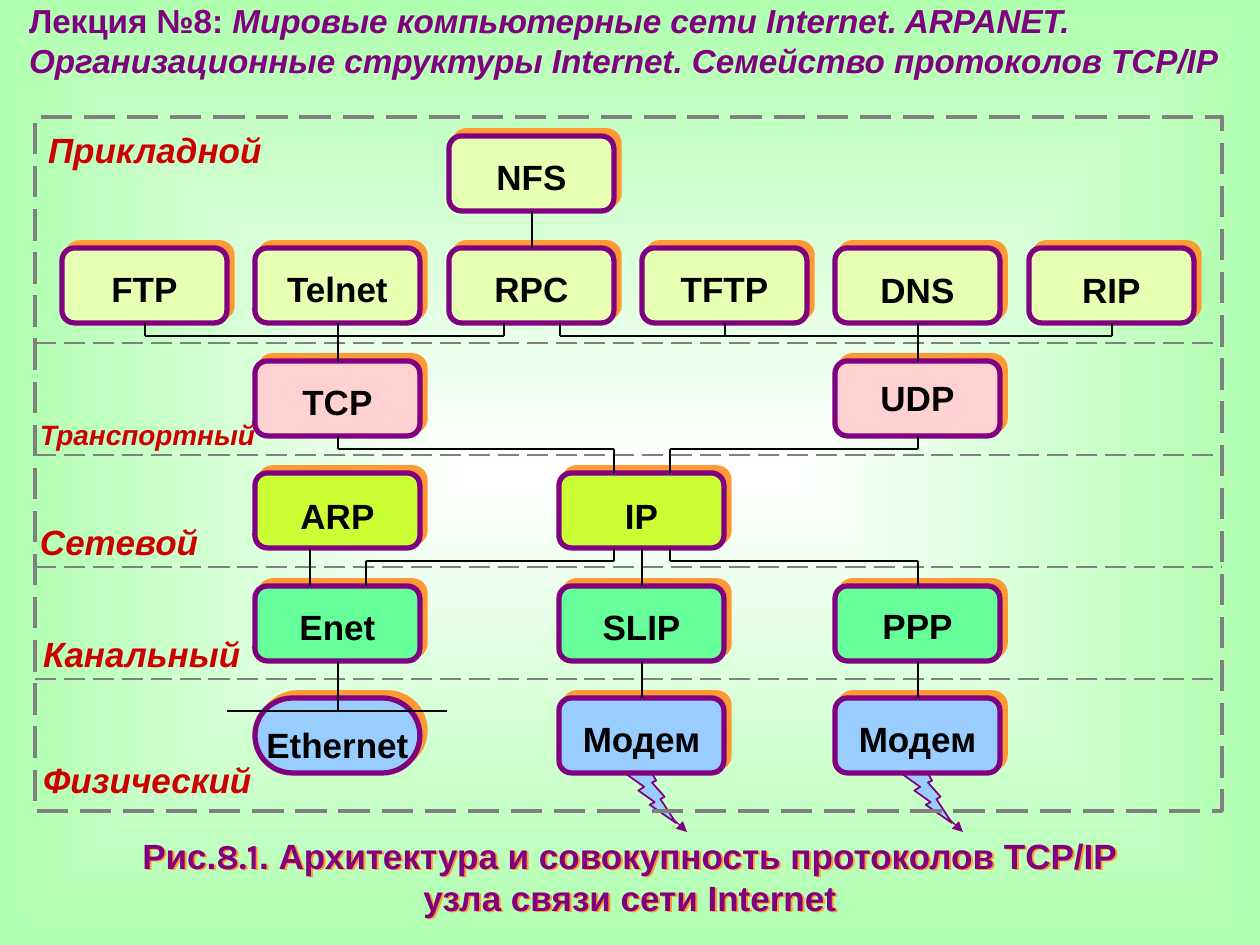
from collections import namedtuple
from itertools import pairwise

from pptx import Presentation
from pptx.dml.color import RGBColor
from pptx.enum.dml import MSO_LINE as Dash
from pptx.enum.shapes import MSO_CONNECTOR as Link, MSO_SHAPE as Preset
from pptx.enum.text import PP_ALIGN as Align
from pptx.oxml import parse_xml
from pptx.oxml.ns import nsdecls
from pptx.util import Emu, Pt

Box = namedtuple("Box", "left top width height")
Card = namedtuple("Card", "name column row fill drop", defaults=[19])

THEME = dict(
    purple="800080", orange="FF9933", red="CC0000", grey="808080", black="000000",
    application="E6FFB3", transport="FFD1D1", network="CCFF33", link="66FF99",
    physical="99CCFF", centre="FFFFFF", edge="AFFFAF",
    font="Arial", digits="Karla", title=19, body=20, small=16,
)

PAGE = Box(0, 0, 1260, 945)
TITLE = Box(29, 0, 1203, 79)
STACK = Box(35, 117, 1187, 694)
CAPTION = Box(0, 828, 1260, 97)

CARD_WIDTH, CARD_HEIGHT, BUS_DROP, PORT = 165, 75, 13, 28
MIDDLE = 2.57  # the IP column stands between RPC and TFTP
CARDS = [
    Card("NFS", 2, 0, "application"), Card("FTP", 0, 1, "application"),
    Card("Telnet", 1, 1, "application"), Card("RPC", 2, 1, "application"),
    Card("TFTP", 3, 1, "application"), Card("DNS", 4, 1, "application", 20),
    Card("RIP", 5, 1, "application", 20),
    Card("TCP", 1, 2, "transport"), Card("UDP", 4, 2, "transport", 15),
    Card("ARP", 1, 3, "network", 21), Card("IP", MIDDLE, 3, "network", 21),
    Card("Enet", 1, 4, "link"), Card("SLIP", MIDDLE, 4, "link"),
    Card("PPP", 4, 4, "link", 18),
    Card("Ethernet", 1, 5, "physical", 25),
    Card("Модем", MIDDLE, 5, "physical"), Card("Модем", 4, 5, "physical"),
]
# row above, then column and port at each end
WIRES = [
    (0, 2, 0, 2, 0), (1, 1, 0, 1, 0), (1, 4, 0, 4, 0),
    (2, 1, 0, MIDDLE, -PORT), (2, 4, 0, MIDDLE, PORT),
    (3, 1, -PORT, 1, -PORT), (3, MIDDLE, -PORT, 1, PORT),
    (3, MIDDLE, 0, MIDDLE, 0), (3, MIDDLE, PORT, 4, 0),
    (4, MIDDLE, 0, MIDDLE, 0), (4, 4, 0, 4, 0),
]
LAYERS = [
    ("Прикладной", 13, 12, "body"), ("Транспортный", 5, 301, "small"),
    ("Сетевой", 5, 403, "body"), ("Канальный", 8, 516, "body"),
    ("Физический", 8, 642, "body"),
]


def emu(px):
    return Emu(round(px * 914400 / 126))


def colour(name):
    return RGBColor.from_string(THEME[name])


def apply(target, values):
    for name, value in values.items():
        setattr(target, name, value)


def add_shadow(shape, distance, degrees):
    shape._element.spPr.append(parse_xml(
        f'<a:effectLst {nsdecls("a")}><a:outerShdw dist="{Pt(distance)}" '
        f'dir="{degrees * 60000}" algn="ctr" rotWithShape="0">'
        f'<a:srgbClr val="{THEME["orange"]}"/></a:outerShdw></a:effectLst>'))


def add_text(page, box, lines, tint, size, align=Align.LEFT, inset=(0, 0)):
    """Each line is a list of (text, extra font values)."""
    shape = page.shapes.add_textbox(*map(emu, box))
    frame = shape.text_frame
    across, down = map(emu, inset)
    apply(frame, dict(word_wrap=True, margin_left=across, margin_right=across,
                      margin_top=down, margin_bottom=down))
    for index, spans in enumerate(lines):
        para = frame.paragraphs[0] if index == 0 else frame.add_paragraph()
        para.alignment = align
        for text, extra in spans:
            span = para.add_run()
            span.text = text
            apply(span.font, dict(name=THEME["font"], size=Pt(THEME[size]), bold=True) | extra)
            span.font.color.rgb = colour(tint)
    return shape


def add_line(page, start, end, tint="black", width=1.5, dash=None):
    line = page.shapes.add_connector(Link.STRAIGHT, *map(emu, (*start, *end)))
    line.line.color.rgb = colour(tint)
    apply(line.line, dict(width=Pt(width), dash_style=dash))
    line._element.spPr.append(parse_xml(f'<a:effectLst {nsdecls("a")}/>'))
    return line


def add_outline(page, preset, box, fill, tint, width):
    shape = page.shapes.add_shape(preset, *map(emu, box))
    if fill:
        shape.fill.solid()
        shape.fill.fore_color.rgb = colour(fill)
    else:
        shape.fill.background()
    shape.line.color.rgb = colour(tint)
    shape.line.width = Pt(width)
    shape.shadow.inherit = False
    return shape


def card_box(area, column, row):
    return Box(area.left + round(27 + 193.3 * column), area.top + round(19 + 112.4 * row),
               CARD_WIDTH, CARD_HEIGHT)


def port_at(area, column, row, port=0, below=CARD_HEIGHT):
    box = card_box(area, column, row)
    return box.left + CARD_WIDTH // 2 + 1 + port, box.top + below


def add_bolt(page, box):
    """Lightning and arrow leaving a modem card."""
    left, top = box.left, box.top
    add_outline(page, Preset.LIGHTNING_BOLT, Box(left + 68, top + 66, 49, 59),
                "physical", "purple", 1)
    arrow = add_line(page, (left + 113, top + 120), (left + 128, top + 134), "purple", 0.75)
    arrow.line._get_or_add_ln().append(parse_xml(f'<a:tailEnd {nsdecls("a")} type="triangle"/>'))


def add_card(page, box, card):
    shape = add_outline(page, Preset.ROUNDED_RECTANGLE, box, card.fill, "purple", 3)
    shape.adjustments[0] = 0.5 if card.name == "Ethernet" else 0.167
    shape._element.spPr.remove(shape._element.spPr[-1])
    add_shadow(shape, 4.2, 315)


def add_wires(page, area):
    paths = []
    for row, column, port, next_column, next_port in WIRES:
        start = port_at(area, column, row, port)
        end = port_at(area, next_column, row + 1, next_port, 0)
        bus = start[1] + BUS_DROP
        paths.append([start, end] if start[0] == end[0]
                     else [start, (start[0], bus), (end[0], bus), end])
    for ends in (((0, 0), (2, -PORT)), ((2, PORT), (5, 0))):
        first, last = (port_at(area, column, 1, port) for column, port in ends)
        bus = first[1] + BUS_DROP
        paths.append([first, (first[0], bus), (last[0], bus), last])
    tftp = port_at(area, 3, 1)
    paths.append([tftp, (tftp[0], tftp[1] + BUS_DROP)])
    x, y = port_at(area, 1, 5, below=BUS_DROP)
    paths += [[port_at(area, 1, 4), (x, y)], [(x - 111, y), (x + 109, y)]]
    for path in paths:
        for start, end in pairwise(path):
            add_line(page, start, end)


def add_stack(page, area):
    """Protocol cards on their five layers, with the links between them."""
    boxes = [card_box(area, card.column, card.row) for card in CARDS]
    for card, box in zip(CARDS, boxes):
        if card.name == "Модем":
            add_bolt(page, box)
    for card, box in zip(CARDS, boxes):
        add_card(page, box, card)
    frame = add_outline(page, Preset.RECTANGLE, area, None, "grey", 2.25)
    frame.line.dash_style = Dash.LONG_DASH
    for index in range(4):
        y = area.top + 226 + 112 * index
        add_line(page, (area.left, y), (area.left + area.width, y), "grey", 1.5, Dash.LONG_DASH)
    add_wires(page, area)
    for name, left, top, size in LAYERS:
        add_text(page, Box(area.left + left, area.top + top, 230, 42),
                 [[(name, dict(italic=True))]], "red", size)
    for card, box in zip(CARDS, boxes):
        add_text(page, Box(box.left, box.top + card.drop, box.width, 42),
                 [[(card.name, {})]], "black", "body", Align.CENTER)


def add_title(page, box):
    add_text(page, box, [[
        ("Лекция №8: ", {}),
        ("Мировые компьютерные сети Internet. ARPANET. Организационные структуры "
         "Internet. Семейство протоколов TCP/IP", dict(italic=True))]], "purple", "title")


def add_caption(page, box):
    shape = add_text(page, box, [
        [("Рис.", {}), ("8.1", dict(name=THEME["digits"])),
         (". Архитектура и совокупность протоколов ТСР/IP", {})],
        [("узла связи сети Internet", {})]], "purple", "body", Align.CENTER, (13, 6))
    add_shadow(shape, 1.6, 45)


def paint_background(page):
    stops = "".join(f'<a:gs pos="{pos}"><a:srgbClr val="{THEME[name]}"/></a:gs>'
                    for pos, name in ((0, "centre"), (100000, "edge")))
    page.element.cSld.insert(0, parse_xml(
        f'<p:bg {nsdecls("p", "a")}><p:bgPr><a:gradFill rotWithShape="0"><a:gsLst>{stops}'
        '</a:gsLst><a:path path="shape"><a:fillToRect l="50000" t="50000" r="50000" '
        'b="50000"/></a:path></a:gradFill><a:effectLst/></p:bgPr></p:bg>'))


def main():
    deck = Presentation()
    apply(deck, dict(slide_width=emu(PAGE.width), slide_height=emu(PAGE.height)))
    page = deck.slides.add_slide(deck.slide_layouts[6])
    paint_background(page)
    add_title(page, TITLE)
    add_stack(page, STACK)
    add_caption(page, CAPTION)
    deck.save("out.pptx")


if __name__ == "__main__":
    main()
